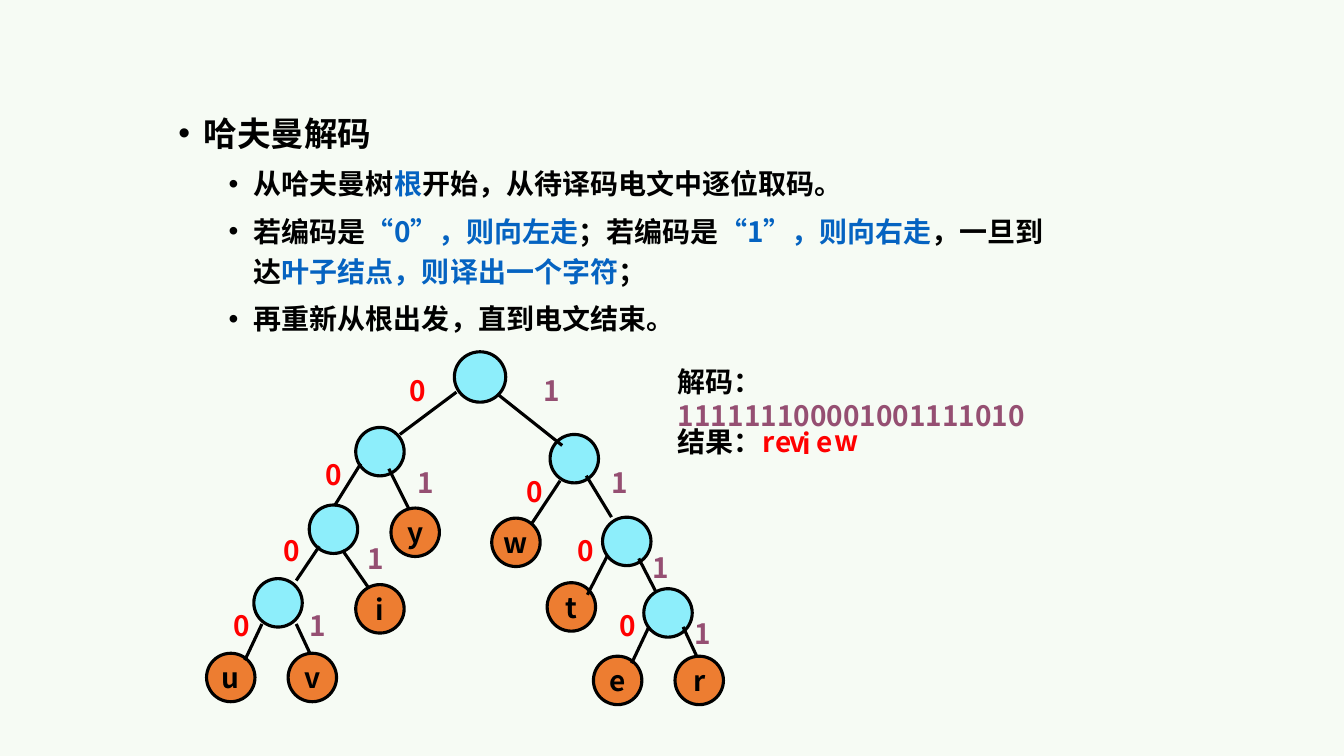
from lxml import etree
from pptx import Presentation
from pptx import util as u
from pptx.dml import color
from pptx.enum import shapes, text
from pptx.oxml import ns

FACE = "Noto Sans CJK SC"
BLACK, BLUE, RED, PURPLE = "000000", "0563C1", "FF0000", "954F72"
CYAN, ORANGE, PAPER = "8DEEFB", "ED7D31", "F6FBF4"
NODE = 34.6

RULES = [
    (0, [("哈夫曼解码", BLACK)]),
    (1, [("从哈夫曼树", BLACK), ("根", BLUE),
         ("开始，从待译码电文中逐位取码。", BLACK)]),
    (1, [("若编码是", BLACK), ("“0”，则向左走", BLUE),
         ("；若编码是", BLACK), ("“1”，则向右走", BLUE),
         ("，一旦到达", BLACK), ("叶子结点，则译出一个字符", BLUE),
         ("；", BLACK)]),
    (1, [("再重新从根出发，直到电文结束。", BLACK)]),
]

# left, top
INNER_NODES = [(181.4, 413.3), (221, 360.7), (254.2, 305.3),
               (460.1, 420.5), (430.6, 369.4), (393.1, 310.3)]
LEAVES = [("u", 147.6, 466.6), ("v", 205.9, 466.6), ("i", 254.2, 417.6),
          ("y", 279.4, 362.9), ("w", 351.4, 370.1), ("t", 391, 416.2),
          ("e", 424.1, 468.7), ("r", 482.4, 468.7)]
# bit, line start, line end, left and top of the bit
BRANCHES = [
    ("0", (326.2, 280.1), (285.8, 310.3), (285.8, 263.5)),
    ("1", (356.4, 282.2), (401.8, 318.2), (381.6, 263.5)),
    ("0", (257.8, 331.2), (239, 361.4), (225.4, 323.3)),
    ("1", (277.9, 334.8), (292.3, 363.6), (291.6, 329)),
    ("0", (228.2, 390.2), (211.7, 414.7), (195.8, 377.3)),
    ("1", (244.8, 393.1), (262.8, 419), (255.6, 383)),
    ("0", (187.2, 445.7), (175, 471.6), (159.8, 431.3)),
    ("1", (211.7, 445.7), (221.8, 467.3), (213.8, 431.3)),
    ("0", (400.3, 343.4), (380.2, 373.7), (369.4, 335.5)),
    ("1", (419, 339.8), (437, 369.4), (429.8, 329)),
    ("0", (434.2, 396.7), (419.8, 424.8), (405.4, 377.3)),
    ("1", (456.5, 398.9), (468.7, 422.6), (459.4, 389.5)),
    ("0", (463.7, 447.8), (451.4, 473.8), (435.6, 431.3)),
    ("1", (488.2, 447.8), (498.2, 469.4), (489.6, 437)),
]
DECODED = [("e", 547.2, 299.5), ("v", 557.3, 299.5), ("i", 566.6, 301),
           ("e", 576.7, 299.5), ("w", 589, 298.8)]


def rgb(value):
    return color.RGBColor.from_string(value)


def points(*values):
    return [u.Pt(value) for value in values]


def write(paragraph, runs, size=20, align=None):
    """Add (wording, colour) runs to a paragraph."""
    paragraph.alignment = align
    for wording, ink in runs:
        run = paragraph.add_run()
        run.text = wording
        run.font.size = u.Pt(size)
        run.font.bold = True
        run.font.name = FACE
        run.font.color.rgb = rgb(ink)
        east_asian = etree.Element(ns.qn("a:ea"), typeface=FACE)
        run.font._element.find(ns.qn("a:latin")).addnext(east_asian)


def add_bullet(paragraph, left):
    properties = paragraph._p.get_or_add_pPr()
    properties.set("marL", str(u.Pt(left)))
    properties.set("indent", str(-u.Pt(18)))
    tint = etree.SubElement(properties, ns.qn("a:buClr"))
    etree.SubElement(tint, ns.qn("a:srgbClr"), val=BLACK)
    etree.SubElement(properties, ns.qn("a:buFont"), typeface="Arial")
    etree.SubElement(properties, ns.qn("a:buChar"), char="•")


def fill_rules(body):
    body.left, body.top, body.width, body.height = points(120.2, 71.3, 645.1, 180)
    frame = body.text_frame
    frame.auto_size = text.MSO_AUTO_SIZE.NONE
    for index, (level, runs) in enumerate(RULES):
        paragraph = frame.add_paragraph() if index else frame.paragraphs[0]
        paragraph.level = level
        add_bullet(paragraph, 54 if level else 18)
        paragraph.line_spacing = 1.2
        paragraph.space_before = u.Pt(5 if index else 0)
        write(paragraph, runs, size=20 if level else 24)


def add_label(parent, left, top, runs, width=23.8, height=31.7):
    box = parent.add_textbox(*points(left, top, width, height))
    box.text_frame.word_wrap = True
    write(box.text_frame.paragraphs[0], runs)


def add_node(parent, left, top, fill=CYAN, letter="", width=NODE, height=NODE):
    node = parent.add_shape(shapes.MSO_SHAPE.OVAL, *points(left, top, width, height))
    node.shadow.inherit = False
    node.fill.solid()
    node.fill.fore_color.rgb = rgb(fill)
    node.line.color.rgb = rgb(BLACK)
    node.line.width = u.Pt(2.25)
    if letter:
        frame = node.text_frame
        frame.word_wrap = False
        frame.vertical_anchor = text.MSO_ANCHOR.MIDDLE
        write(frame.paragraphs[0], [(letter, BLACK)], align=text.PP_ALIGN.CENTER)


def add_branch(parent, start, end):
    branch = parent.add_connector(shapes.MSO_CONNECTOR.STRAIGHT, *points(*start, *end))
    branch.line.color.rgb = rgb(BLACK)
    branch.line.width = u.Pt(2.25)
    etree.SubElement(branch._element.spPr, ns.qn("a:effectLst"))


def add_tree(slide):
    tree = slide.shapes.add_group_shape().shapes
    add_node(tree, 324.7, 251.3, width=36.7, height=36)
    for left, top in INNER_NODES:
        add_node(tree, left, top)
    for letter, left, top in LEAVES:
        add_node(tree, left, top, fill=ORANGE, letter=letter)
    for bit, start, end, place in BRANCHES:
        add_branch(tree, start, end)
        add_label(tree, *place, [(bit, RED if bit == "0" else PURPLE)])


def add_decoding(slide):
    add_label(slide.shapes, 477.4, 257,
              [("解码：", BLACK), ("111111100001001111010", PURPLE)],
              width=293.8, height=55.4)
    add_label(slide.shapes, 477.4, 299.5, [("结果：", BLACK), ("r", RED)], width=293.8)
    for letter, left, top in DECODED:
        add_label(slide.shapes, left, top, [(letter, RED)])


def main():
    deck = Presentation()
    deck.slide_width, deck.slide_height = points(960.5, 540)
    slide = deck.slides.add_slide(deck.slide_layouts[1])
    slide.background.fill.solid()
    slide.background.fill.fore_color.rgb = rgb(PAPER)
    title = slide.shapes.title._element
    title.getparent().remove(title)
    fill_rules(slide.placeholders[1])
    add_tree(slide)
    add_decoding(slide)
    deck.save("out.pptx")


if __name__ == "__main__":
    main()
